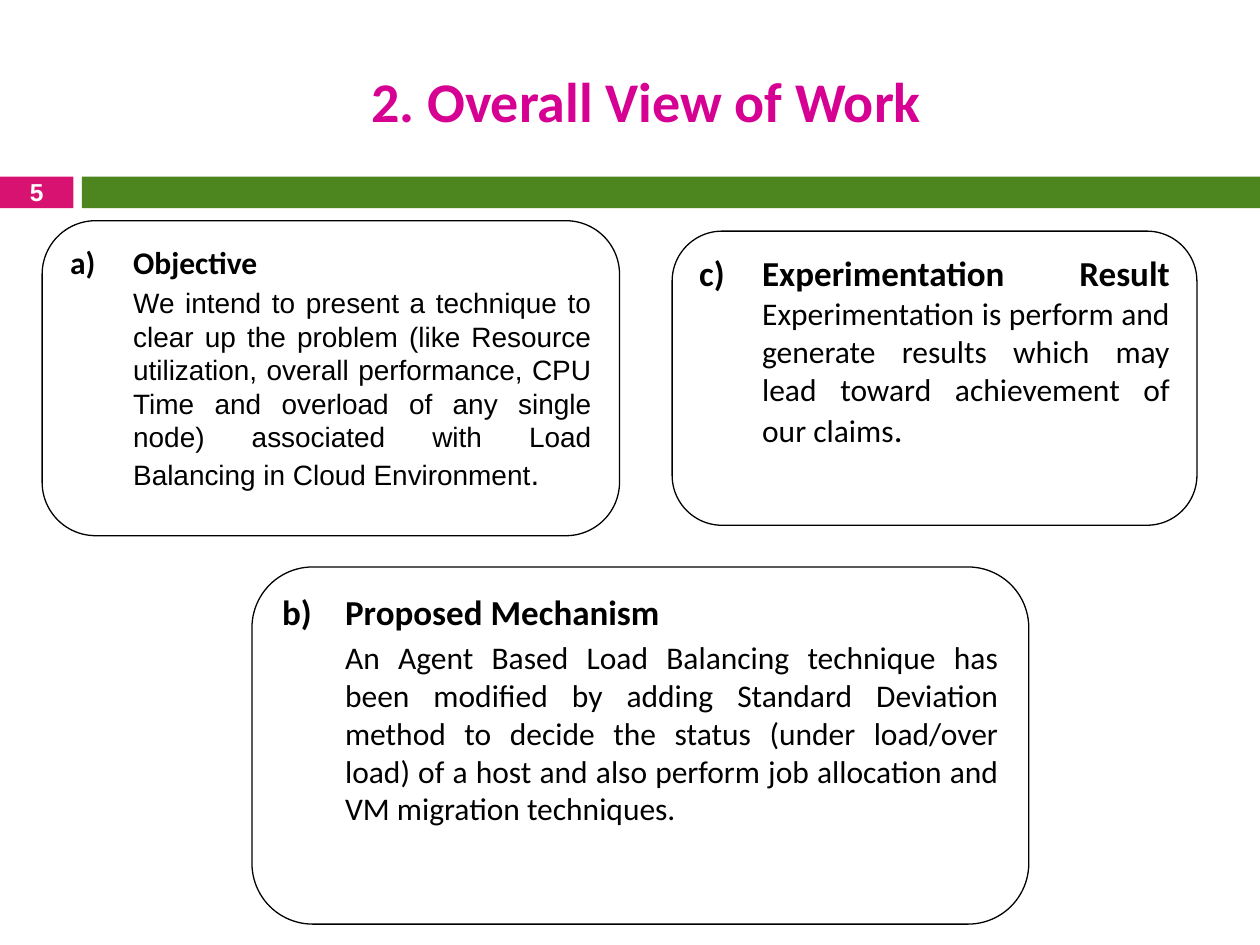
from lxml import etree
from pptx import Presentation
from pptx.dml.color import RGBColor
from pptx.enum.shapes import MSO_SHAPE
from pptx.enum.text import MSO_ANCHOR, PP_ALIGN
from pptx.oxml.ns import qn
from pptx.util import Cm, Pt

RECT, ROUNDED = MSO_SHAPE.RECTANGLE, MSO_SHAPE.ROUNDED_RECTANGLE
TOP, MIDDLE = MSO_ANCHOR.TOP, MSO_ANCHOR.MIDDLE
LEFT, CENTER, JUSTIFY = PP_ALIGN.LEFT, PP_ALIGN.CENTER, PP_ALIGN.JUSTIFY
INDENT = Cm(1.27)
COLORS = {"title": "D60093", "badge": "D81270", "bar": "4D851F",
          "white": "FFFFFF", "black": "000000"}


def set_font(font, name, size, bold, color):
    font.name, font.size, font.bold = name, Pt(size), bold
    font.color.rgb = RGBColor.from_string(COLORS[color])


def add_filled(kind, box, color):
    shape = slide.shapes.add_shape(kind, *(Cm(v) for v in box))
    shape.shadow.inherit = False
    shape.fill.solid()
    shape.fill.fore_color.rgb = RGBColor.from_string(COLORS[color])
    shape.line.fill.background()
    return shape


prs = Presentation()
prs.slide_width, prs.slide_height = Cm(25.4), Cm(19.05)
slide = prs.slides.add_slide(prs.slide_layouts[5])

# Header band with the slide number
add_filled(RECT, (0, 3.56, 1.48, 0.64), "badge")
add_filled(RECT, (1.65, 3.56, 23.75, 0.64), "bar")
number = slide.shapes.add_textbox(Cm(0), Cm(3.53), Cm(1.48), Cm(0.69)).text_frame
number.word_wrap = True
number.vertical_anchor = MIDDLE
number.text = "5"
number.paragraphs[0].alignment = CENTER
set_font(number.paragraphs[0].font, "Arial", 14, True, "white")

# Title
title = slide.shapes.title
title.left, title.top, title.width, title.height = Cm(1.7), Cm(0.64), Cm(22.66), Cm(2.74)
title.text_frame.text = "2. Overall View of Work"
title.text_frame.vertical_anchor = MIDDLE
title.text_frame.paragraphs[0].alignment = CENTER
set_font(title.text_frame.paragraphs[0].font, "Calibri", 32, True, "title")

# Cards: box, letter position, paragraphs of (alignment, font, runs of (text, size, bold))
cards = [
    ((0.85, 4.45, 11.64, 6.35), 1, [
        (JUSTIFY, "Calibri", [("Objective", 18, True)]),
        (JUSTIFY, "Arial", [
            ("We intend to present a technique to clear up the problem (like Resource "
             "utilization, overall performance, CPU Time and overload of any single node) "
             "associated with Load Balancing in Cloud Environment", 16, False),
            (".", 18, False)])]),
    ((13.55, 4.66, 10.58, 5.93), 3, [
        (JUSTIFY, "Calibri", [
            ("Experimentation Result ", 20, True),
            ("Experimentation is perform and generate results which may lead toward "
             "achievement of our claims", 18, False),
            (".", 20, False)])]),
    ((5.08, 11.43, 15.66, 7.2), 2, [
        (LEFT, "Calibri", [("Proposed Mechanism", 20, True)]),
        (JUSTIFY, "Calibri", [
            ("An Agent Based Load Balancing technique has been modified by adding Standard "
             "Deviation method to decide the status (under load/over load) of a host and "
             "also perform job allocation and VM migration techniques.", 18, False)])]),
]
for box, letter, paragraphs in cards:
    card = add_filled(ROUNDED, box, "white")
    card.adjustments[0] = 0.17
    card.line.color.rgb = RGBColor.from_string(COLORS["black"])
    card.line.width = Pt(0.75)
    frame = card.text_frame
    frame.word_wrap = True
    frame.vertical_anchor = TOP

    for i, (alignment, font_name, runs) in enumerate(paragraphs):
        paragraph = frame.add_paragraph() if i else frame.paragraphs[0]
        paragraph.alignment = alignment
        properties = paragraph._p.get_or_add_pPr()
        properties.set("marL", str(INDENT))
        if i:
            properties.set("indent", "0")
            paragraph.space_before = Pt(3)
        else:
            # Lettered heading: a), b), c)
            properties.set("indent", str(-INDENT))
            etree.SubElement(properties, qn("a:buFont"), typeface="+mj-lt")
            etree.SubElement(properties, qn("a:buAutoNum"),
                             type="alphaLcParenR", startAt=str(letter))
        first_style = runs[0][1:]
        set_font(paragraph.font, font_name, *first_style, "black")
        for text, size, bold in runs:
            run = paragraph.add_run()
            run.text = text
            if (size, bold) != first_style:
                run.font.size, run.font.bold = Pt(size), bold

prs.save("out.pptx")
